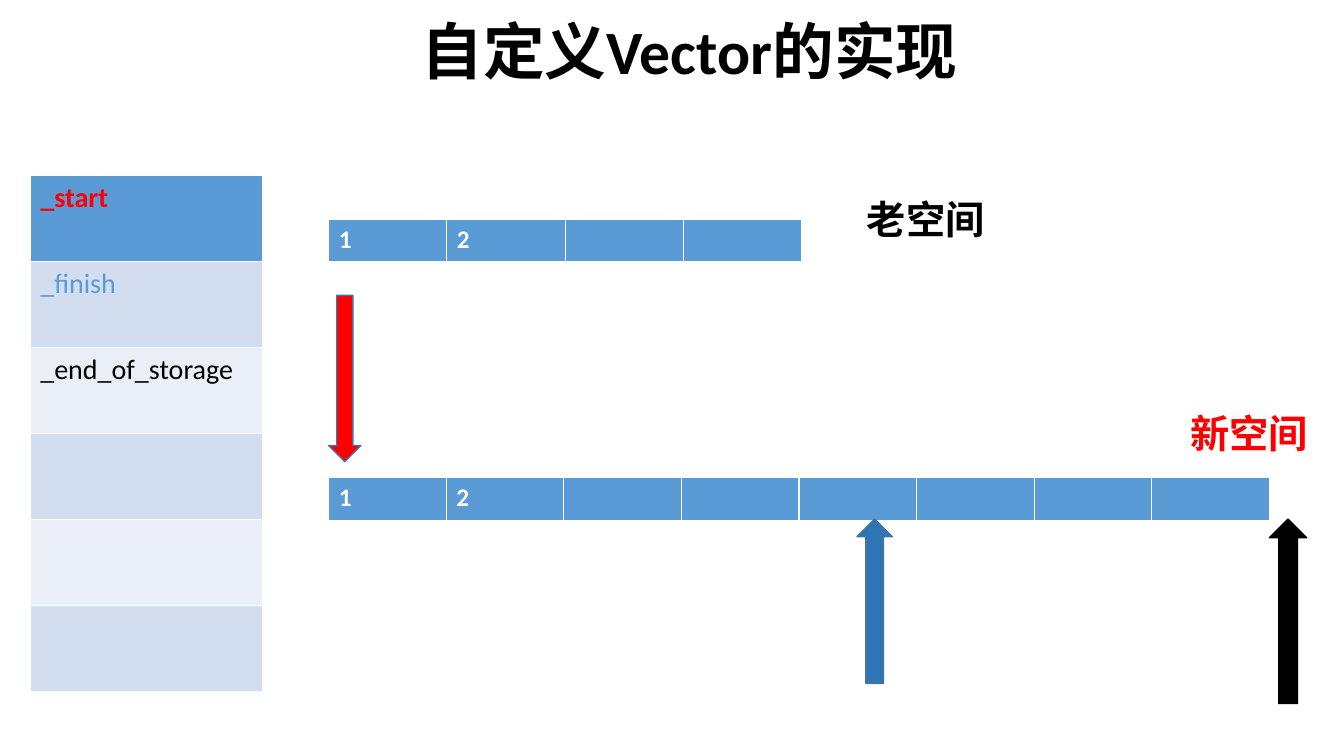
from pptx import Presentation
from pptx.dml.color import RGBColor
from pptx.enum.shapes import MSO_SHAPE
from pptx.enum.text import MSO_ANCHOR, MSO_AUTO_SIZE, PP_ALIGN
from pptx.util import Pt

PX = 9144
DOWN, UP = MSO_SHAPE.DOWN_ARROW, MSO_SHAPE.UP_ARROW
TOP, LEFT, NO_FIT = MSO_ANCHOR.TOP, PP_ALIGN.LEFT, MSO_AUTO_SIZE.NONE
TITLE_ONLY = 5
BLUE, RED, BLACK, WHITE = "5B9BD5", "FF0000", "000000", "FFFFFF"
BANDS = ("EAEFF7", "D2DEEF")


def emu(*lengths):
    """Turn lengths in px into EMU."""
    return [length * PX for length in lengths]


def rgb(value):
    """Turn a hex string into a colour."""
    return RGBColor.from_string(value)


def write(tf, text, size=18, color=BLACK, bold=True):
    """Put one formatted run into a text frame."""
    p = tf.paragraphs[0]
    p.alignment = LEFT
    r = p.add_run()
    r.text = text
    r.font.name = "Calibri"
    r.font.size = Pt(size)
    r.font.bold = bold
    r.font.color.rgb = rgb(color)


def fill_cell(cell, fill, text="", **fmt):
    """Colour a table cell and write its text, if any."""
    cell.fill.solid()
    cell.fill.fore_color.rgb = rgb(fill)
    if text:
        write(cell.text_frame, text, **fmt)


def add_title(s, box, text):
    """Place and format the slide title."""
    sp = s.shapes.title
    sp.left, sp.top, sp.width, sp.height = emu(*box)
    tf = sp.text_frame
    tf.auto_size = NO_FIT
    tf.vertical_anchor = TOP
    tf.word_wrap = True
    write(tf, text, size=44)


def add_label(s, box, text, color):
    """Add the name of a memory space."""
    tf = s.shapes.add_textbox(*emu(*box)).text_frame
    tf.word_wrap = True
    write(tf, text, size=28, color=color)


def add_storage(s, box, values, capacity):
    """Add a row of storage slots, the first ones holding values."""
    table = s.shapes.add_table(1, capacity, *emu(*box)).table
    for i in range(capacity):
        text = values[i] if i < len(values) else ""
        fill_cell(table.cell(0, i), BLUE, text, color=WHITE)


def add_members(s, box, members, rows):
    """Add the column of member pointers with banded rows."""
    table = s.shapes.add_table(rows, 1, *emu(*box)).table
    for i in range(rows):
        text, color = members[i] if i < len(members) else ("", BLACK)
        fill = BANDS[i % 2] if i else BLUE
        fill_cell(table.cell(i, 0), fill, text, size=20, color=color, bold=i == 0)


def add_arrow(s, box, kind, fill, line):
    """Add a block arrow."""
    sp = s.shapes.add_shape(kind, *emu(*box))
    sp.shadow.inherit = False
    sp.fill.solid()
    sp.fill.fore_color.rgb = rgb(fill)
    sp.line.color.rgb = rgb(line)
    sp.line.width = Pt(1)


def build_vector_slide(prs):
    """Build the slide on moving a vector to a larger space."""
    s = prs.slides.add_slide(prs.slide_layouts[TITLE_ONLY])
    add_title(s, (408, 8, 680, 84), "自定义Vector的实现")
    add_members(s, (30, 174, 230, 512),
                [("_start", RED), ("_finish", BLUE), ("_end_of_storage", BLACK)], 6)
    add_storage(s, (326, 218, 469, 42), "12", 4)
    add_storage(s, (326, 474, 933, 42), "12", 8)
    add_label(s, (850, 189, 329, 57), "老空间", BLACK)
    add_label(s, (1171, 401, 139, 57), "新空间", RED)
    add_arrow(s, (326, 293, 32, 165), DOWN, RED, "43739E")
    add_arrow(s, (850, 515, 35, 163), UP, "2E75B6", "43739E")
    add_arrow(s, (1259, 515, 37, 183), UP, BLACK, BLACK)


def main():
    """Create and save the presentation."""
    prs = Presentation()
    prs.slide_width, prs.slide_height = emu(1333, 750)
    build_vector_slide(prs)
    prs.save("out.pptx")


if __name__ == "__main__":
    main()
